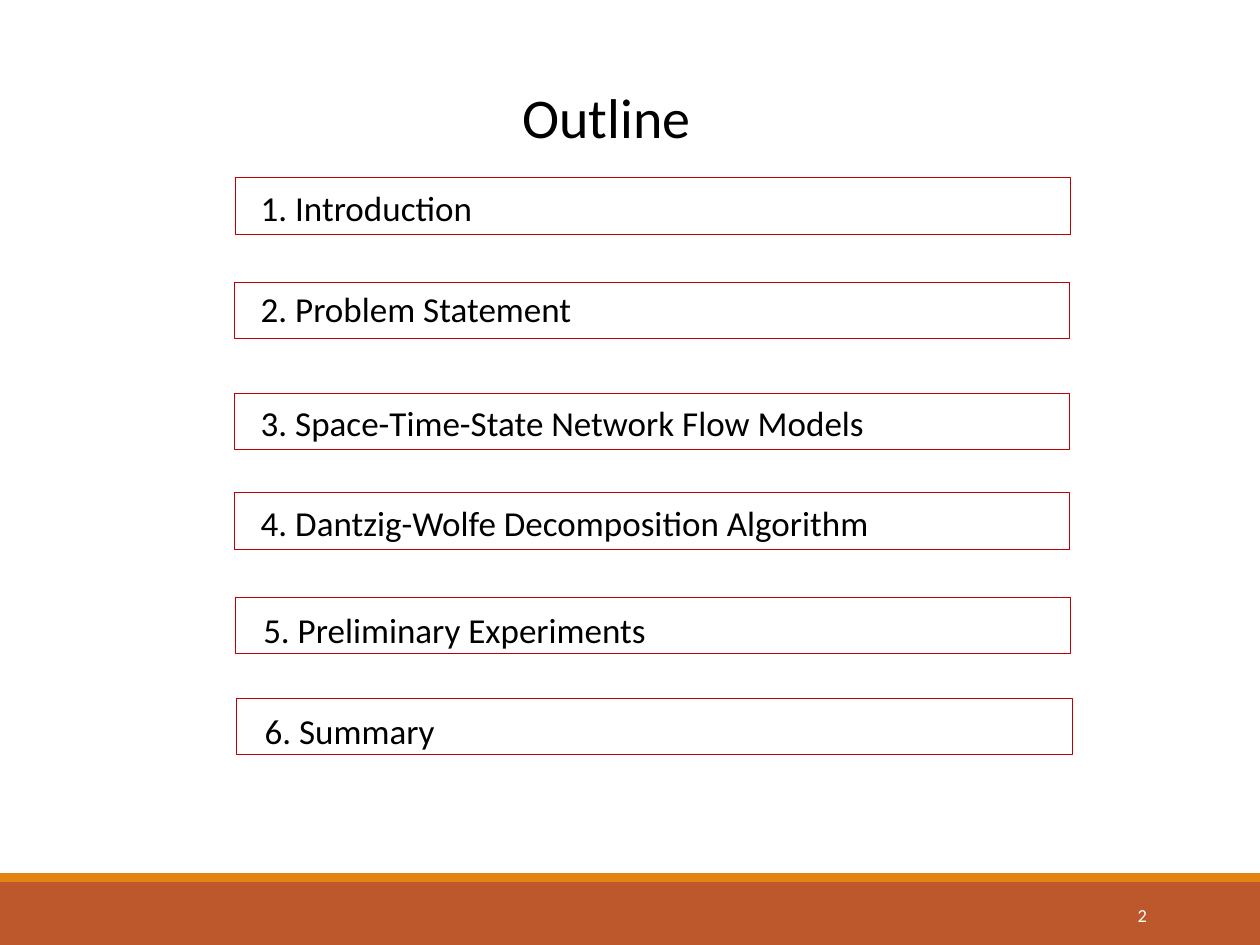
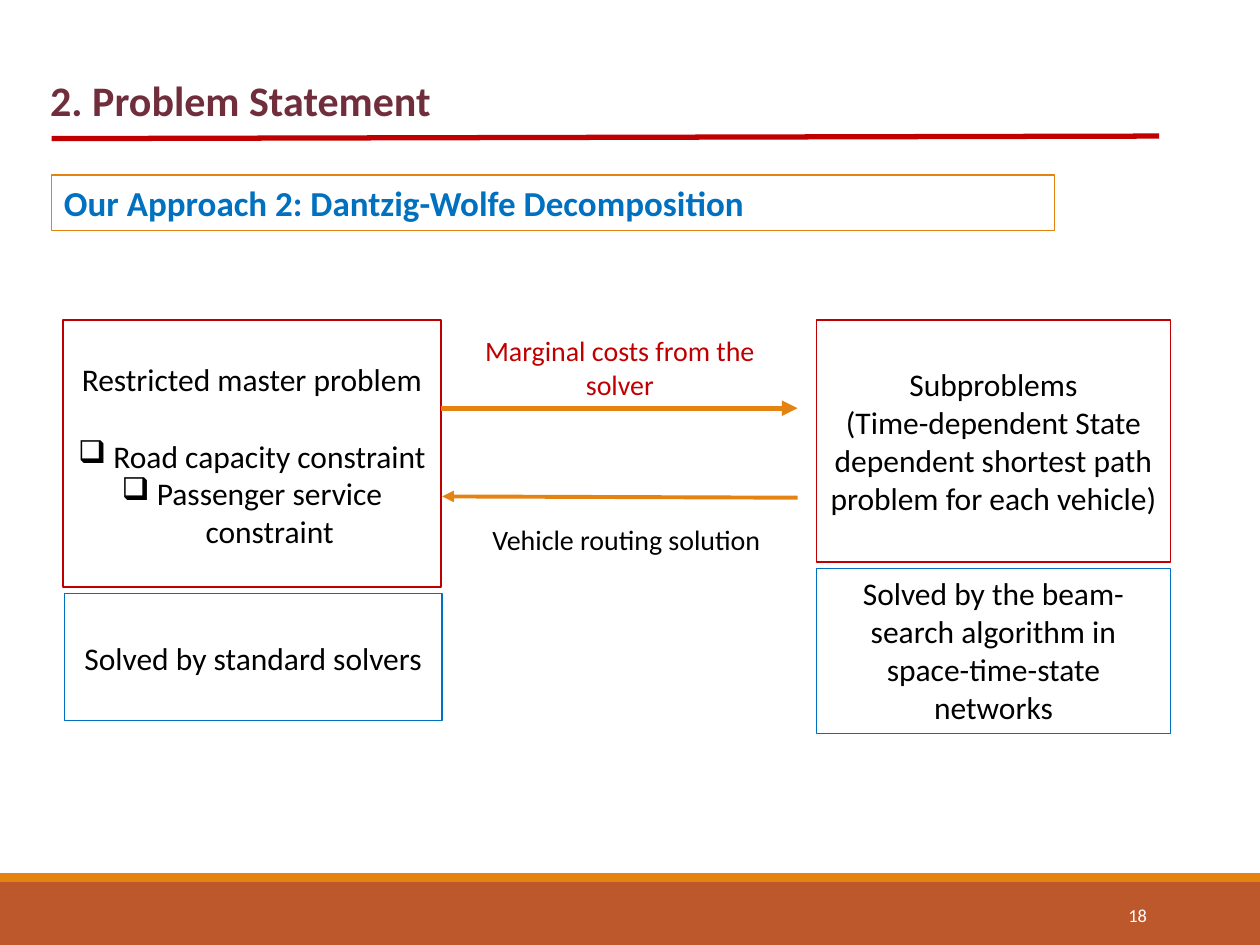
from lxml.etree import SubElement
from pptx import Presentation
from pptx.dml.color import RGBColor
from pptx.enum.shapes import MSO_CONNECTOR, MSO_SHAPE
from pptx.enum.text import MSO_ANCHOR, PP_ALIGN
from pptx.oxml.ns import qn
from pptx.util import Inches, Pt

COLORS = {
    "black": "000000",
    "white": "FFFFFF",
    "brown": "BD582C",
    "orange": "E48312",
    "red": "C00000",
    "blue": "0070C0",
    "wine": "702E3C",
}
FONT = "Calibri"
INSETS = (0.1, 0.05, 0.1, 0.05)

OUTLINE_ENTRIES = [
    ("1. Introduction", 1.87, 1.41, 1.86, 1.48),
    ("2. Problem Statement", 1.86, 2.24, 1.86, 2.28),
    ("3. Space-Time-State Network Flow Models", 1.86, 3.12, 1.86, 3.18),
    ("4. Dantzig-Wolfe Decomposition Algorithm", 1.86, 3.91, 1.86, 3.98),
    ("5. Preliminary Experiments", 1.87, 4.74, 1.88, 4.83),
    ("6. Summary", 1.88, 5.54, 1.89, 5.63),
]


def color(name):
    return RGBColor.from_string(COLORS[name])


def add_box(slide, box, fill=None, line=None, width=0.75):
    shape = slide.shapes.add_shape(MSO_SHAPE.RECTANGLE, *map(Inches, box))
    shape.shadow.inherit = False
    if fill:
        shape.fill.solid()
        shape.fill.fore_color.rgb = color(fill)
    else:
        shape.fill.background()
    if line:
        shape.line.color.rgb = color(line)
        shape.line.width = Pt(width)
    else:
        shape.line.fill.background()
    return shape


def add_bullet(paragraph, character, indent):
    properties = paragraph._p.get_or_add_pPr()
    properties.set("marL", str(Inches(indent)))
    properties.set("indent", str(-Inches(indent)))
    SubElement(properties, qn("a:buChar"), char=character)


def write(shape, lines, size, tint="black", bold=False, align=PP_ALIGN.LEFT,
          anchor=MSO_ANCHOR.TOP, insets=INSETS, bullets_from=None):
    frame = shape.text_frame
    left, top, right, bottom = map(Inches, insets)
    frame_format = {
        "word_wrap": True, "vertical_anchor": anchor, "margin_left": left,
        "margin_top": top, "margin_right": right, "margin_bottom": bottom,
    }
    for name, value in frame_format.items():
        setattr(frame, name, value)
    for index, line in enumerate(lines):
        paragraph = frame.add_paragraph() if index else frame.paragraphs[0]
        paragraph.alignment = align
        if bullets_from is not None and index >= bullets_from:
            if index == bullets_from:
                paragraph.space_before = Pt(22)
            add_bullet(paragraph, "❑", 0.28)
        run = paragraph.add_run()
        run.text = line
        for name, value in {"name": FONT, "size": Pt(size), "bold": bold}.items():
            setattr(run.font, name, value)
        run.font.color.rgb = color(tint)


def add_text(slide, box, text, size, **style):
    write(slide.shapes.add_textbox(*map(Inches, box)), [text], size, **style)


def add_line(slide, start, end, tint, width, arrow=False):
    connector = slide.shapes.add_connector(
        MSO_CONNECTOR.STRAIGHT, *map(Inches, (*start, *end)))
    connector.line.color.rgb = color(tint)
    connector.line.width = Pt(width)
    if arrow:
        SubElement(connector.line._get_or_add_ln(), qn("a:tailEnd"), type="triangle")
    SubElement(connector._element.spPr, qn("a:effectLst"))


def add_base_slide(presentation, number):
    slide = presentation.slides.add_slide(presentation.slide_layouts[6])
    add_box(slide, (0, 7, 10, 0.5), fill="brown")
    add_box(slide, (0, 6.93, 10, 0.07), fill="orange")
    add_text(slide, (8.12, 7.06, 1.08, 0.4), str(number), 10.5, tint="white",
             align=PP_ALIGN.RIGHT, anchor=MSO_ANCHOR.MIDDLE)
    return slide


def add_outline_slide(presentation):
    slide = add_base_slide(presentation, 2)
    add_text(slide, (3.61, 0.61, 2.41, 0.64), "Outline", 32, align=PP_ALIGN.CENTER)
    for text, frame_left, frame_top, text_left, text_top in OUTLINE_ENTRIES:
        add_box(slide, (frame_left, frame_top, 6.63, 0.45), line="red", width=0.5)
        add_text(slide, (text_left, text_top, 6.43, 0.34), text, 20,
                 anchor=MSO_ANCHOR.MIDDLE, insets=(0.21, 0, 0, 0))


def add_heading(slide, title, subtitle):
    add_text(slide, (0.3, 0.54, 8.65, 0.5), title, 24, tint="wine", bold=True)
    add_line(slide, (0.41, 1.1), (9.2, 1.08), "red", 3)
    banner = add_box(slide, (0.41, 1.39, 7.96, 0.44), line="orange")
    write(banner, [subtitle], 20, tint="blue", bold=True)


def add_problem_box(slide, box, line, lines, top_inset, bullets_from=None):
    write(add_box(slide, box, line=line), lines, 18, align=PP_ALIGN.CENTER,
          insets=(0.1, top_inset, 0.1, 0.05), bullets_from=bullets_from)


def add_exchange(slide, left, top):
    add_text(slide, (left + 0.05, top, 2.74, 0.64), "Marginal costs from the solver",
             16, tint="red", align=PP_ALIGN.CENTER)
    add_line(slide, (left, top + 0.64), (left + 2.83, top + 0.64), "orange", 3, arrow=True)
    add_line(slide, (left + 2.83, top + 1.35), (left + 0.01, top + 1.34),
             "orange", 2.25, arrow=True)
    add_text(slide, (left + 0.31, top + 1.5, 2.36, 0.37), "Vehicle routing solution", 16)


def add_decomposition_slide(presentation):
    slide = add_base_slide(presentation, 18)
    add_heading(slide, "2. Problem Statement",
                "Our Approach 2: Dantzig-Wolfe Decomposition")
    add_problem_box(slide, (0.5, 2.54, 3, 2.12), "red",
                    ["Restricted master problem", "Road capacity constraint",
                     "Passenger service constraint"], 0.32, bullets_from=1)
    add_problem_box(slide, (0.51, 4.71, 3, 1.01), "blue",
                    ["Solved by standard solvers"], 0.36)
    add_problem_box(slide, (6.48, 2.54, 2.81, 1.92), "red",
                    ["Subproblems", "(Time-dependent State dependent shortest path "
                     "problem for each vehicle)"], 0.36)
    add_problem_box(slide, (6.48, 4.51, 2.81, 1.31), "blue",
                    ["Solved by the beam-search algorithm in space-time-state networks"],
                    0.05)
    add_exchange(slide, 3.5, 2.6)


def main():
    presentation = Presentation()
    presentation.slide_width = Inches(10)
    presentation.slide_height = Inches(7.5)
    add_outline_slide(presentation)
    add_decomposition_slide(presentation)
    presentation.save("out.pptx")


if __name__ == "__main__":
    main()
